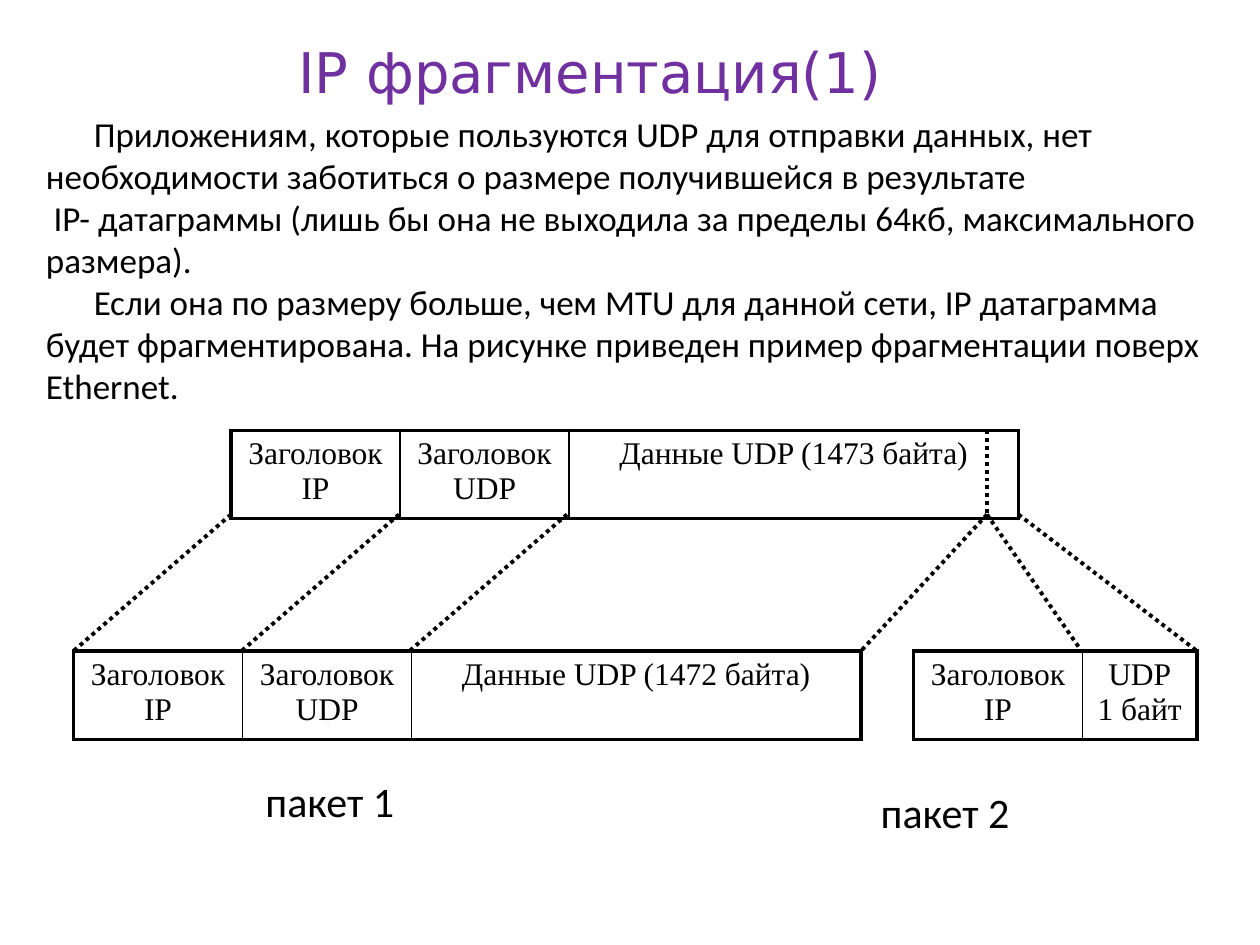
from dataclasses import dataclass

from lxml.etree import SubElement
from pptx import Presentation
from pptx.dml.color import RGBColor
from pptx.enum.dml import MSO_LINE_DASH_STYLE as Dash
from pptx.enum.shapes import MSO_CONNECTOR as Connector
from pptx.enum.text import MSO_AUTO_SIZE as AutoSize, PP_ALIGN as Align
from pptx.oxml import parse_xml
from pptx.oxml.ns import nsdecls, qn
from pptx.util import Inches, Pt


@dataclass(frozen=True)
class Theme:
    ink: str = "000000"
    accent: str = "7030A0"
    title_font: str = "DejaVu Sans"
    body_font: str = "Calibri"
    packet_font: str = "Times New Roman"
    title_size: int = 32
    body_size: int = 20
    label_size: int = 24
    packet_size: int = 18
    thick: float = 2.25
    thin: float = 1


class FragmentationSlide:
    """Draws packets and text on a grid of 120 columns by 90 rows."""

    def __init__(self, presentation, theme):
        self.theme = theme
        self.unit = presentation.slide_width / 120
        self.slide = presentation.slides.add_slide(presentation.slide_layouts[6])

    def grid(self, *values):
        return [round(value * self.unit) for value in values]

    def style(self, paragraph, font, size, color, align):
        paragraph.alignment = align
        paragraph.font.name = font
        paragraph.font.size = Pt(size)
        paragraph.font.color.rgb = RGBColor.from_string(color)

    def text(self, box, paragraphs, size, font=None, color=None, align=Align.LEFT):
        frame = self.slide.shapes.add_textbox(*self.grid(*box)).text_frame
        frame.word_wrap = True
        frame.auto_size = AutoSize.SHAPE_TO_FIT_TEXT
        for index, (content, indent) in enumerate(paragraphs):
            paragraph = frame.add_paragraph() if index else frame.paragraphs[0]
            paragraph.text = content
            if indent:
                paragraph._p.get_or_add_pPr().set("indent", str(Inches(indent)))
            self.style(paragraph, font or self.theme.body_font, size,
                       color or self.theme.ink, align)

    def border(self, cell, widths):
        properties = cell._tc.get_or_add_tcPr()
        for index, (side, width) in enumerate(zip("LRTB", widths)):
            line = parse_xml(f'<a:ln{side} {nsdecls("a")} w="{Pt(width)}"><a:solidFill>'
                             f'<a:srgbClr val="{self.theme.ink}"/></a:solidFill></a:ln{side}>')
            properties.insert(index, line)

    def packet(self, left, top, fields):
        thick, thin = self.theme.thick, self.theme.thin
        width = sum(size for _, size in fields)
        table = self.slide.shapes.add_table(
            1, len(fields), *self.grid(left, top, width, 8.4)).table
        table.first_row = table.horz_banding = False
        last = len(fields) - 1
        for index, (content, size) in enumerate(fields):
            table.columns[index].width = self.grid(size)[0]
            cell = table.cell(0, index)
            cell.text = content
            cell.fill.background()
            self.style(cell.text_frame.paragraphs[0], self.theme.packet_font,
                       self.theme.packet_size, self.theme.ink, Align.CENTER)
            self.border(cell, (thin if index else thick,
                               thick if index == last else thin, thick, thick))

    def dotted_line(self, start, end):
        connector = self.slide.shapes.add_connector(
            Connector.STRAIGHT, *self.grid(*start, *end))
        connector.line.color.rgb = RGBColor.from_string(self.theme.ink)
        connector.line.width = Pt(self.theme.thick)
        connector.line.dash_style = Dash.ROUND_DOT
        SubElement(connector._element.spPr, qn("a:effectLst"))


def main():
    presentation = Presentation()
    presentation.slide_width, presentation.slide_height = Inches(10), Inches(7.5)
    theme = Theme()
    page = FragmentationSlide(presentation, theme)

    page.text((5.2, 3, 102, 7.7), [("IP фрагментация(1)", 0)],
              theme.title_size, theme.title_font, theme.accent, Align.CENTER)
    page.text((3.2, 10.1, 116.8, 29.5), [
        ("Приложениям, которые пользуются UDP для отправки данных, нет необходимости "
         "заботиться о размере получившейся в результате", 0.38),
        ("IP- датаграммы (лишь бы она не выходила за пределы 64кб, максимального "
         "размера).", 0.06),
        ("Если она по размеру больше, чем MTU для данной сети, IP датаграмма будет "
         "фрагментирована. На рисунке приведен пример фрагментации поверх Ethernet.", 0.38),
    ], theme.body_size)

    source_top, source_bottom, fragment_top = 41, 49, 62
    ip_header = ("Заголовок IP", 16.1)
    headers = [ip_header, ("Заголовок UDP", 16.1)]
    for left, top, size in ((22, source_top, 1473), (7, fragment_top, 1472)):
        page.packet(left, top, headers + [(f"Данные UDP ({size} байта)", 42.8)])
    page.packet(87, fragment_top, [ip_header, ("UDP\v1 байт", 10.9)])

    page.text((24.1, 73.3, 23.6, 6), [("пакет 1", 0)], theme.label_size)
    page.text((82.7, 74.3, 22.3, 6), [("пакет 2", 0)], theme.label_size)

    split = 94
    for upper, lower in ((22, 7), (38, 23), (54, 39), (97, 114), (split, 103), (split, 82)):
        page.dotted_line((upper, source_bottom), (lower, fragment_top))
    page.dotted_line((split, source_top), (split, source_bottom))

    presentation.save("out.pptx")


if __name__ == "__main__":
    main()
